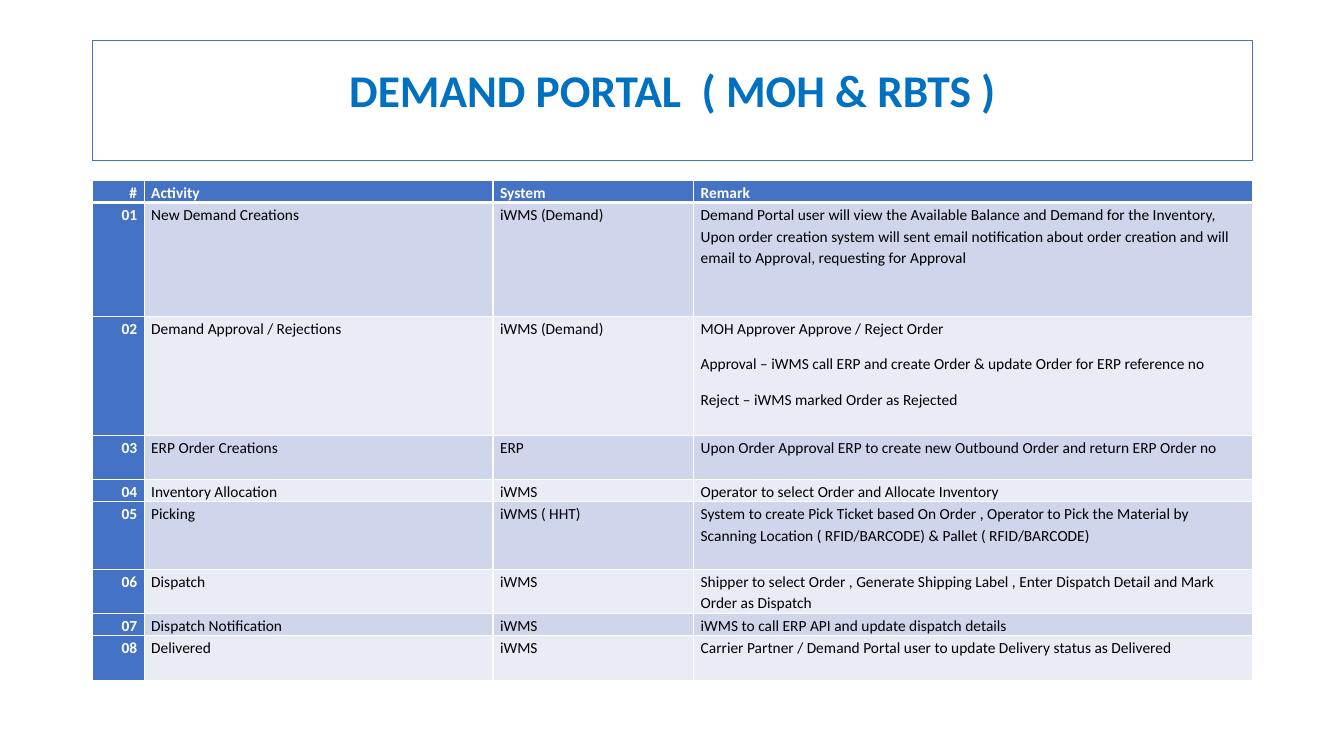
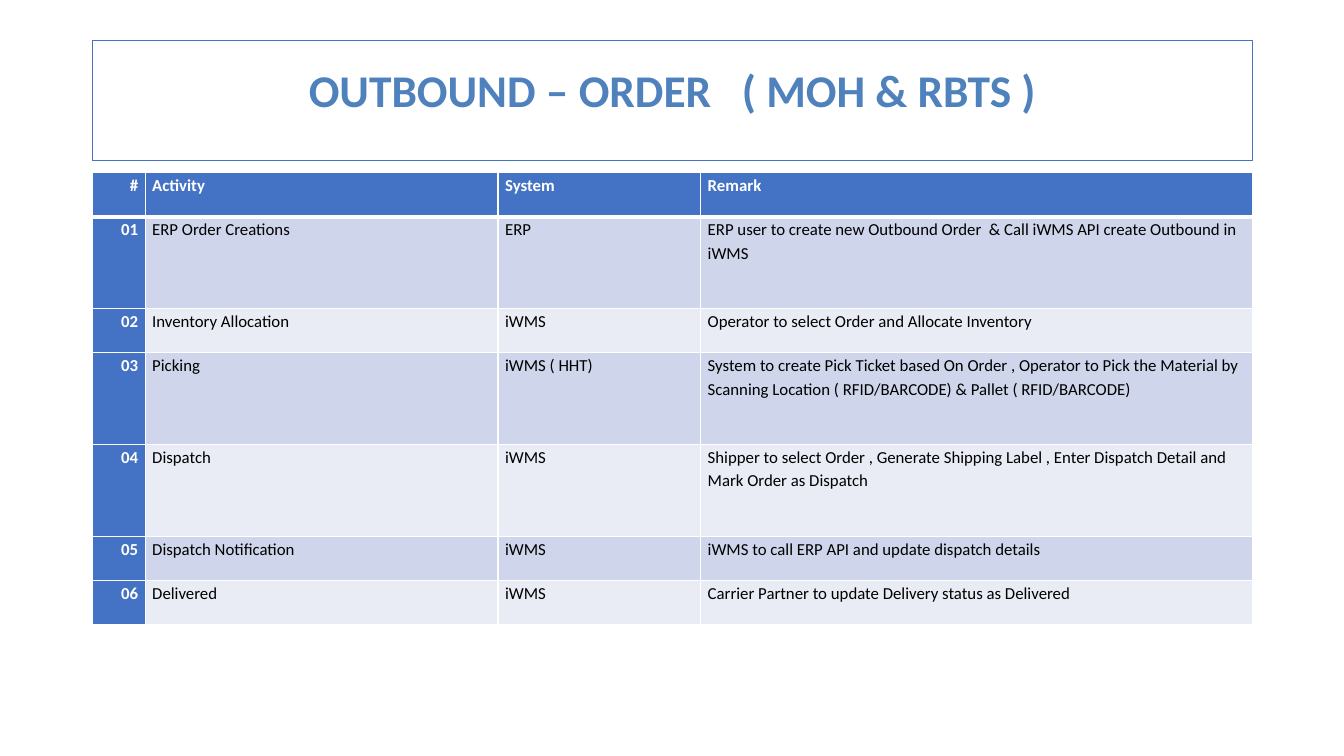
import pptx
import pptx.dml.color
import pptx.enum.text
import pptx.oxml
import pptx.oxml.ns
import pptx.util

Inches = pptx.util.Inches
Pt = pptx.util.Pt
ALIGN = pptx.enum.text.PP_ALIGN
ANCHOR = pptx.enum.text.MSO_ANCHOR

WHITE, BLACK, BLUE = "FFFFFF", "000000", "4472C4"
BANDS = ("CFD5EA", "E9EBF5")
LEFT, WIDTH = 0.92, 11.5
TITLE_BOX = (LEFT, 0.4, WIDTH, 1.19)
HEADINGS = ("#", "Activity", "System", "Remark")

ALLOCATION = ("Inventory Allocation", "iWMS", "Operator to select Order and Allocate Inventory")
PICKING = (
    "Picking",
    "iWMS ( HHT)",
    "System to create Pick Ticket based On Order , Operator to Pick the Material by "
    "Scanning Location ( RFID/BARCODE) & Pallet ( RFID/BARCODE)",
)
DISPATCH = (
    "Dispatch",
    "iWMS",
    "Shipper to select Order , Generate Shipping Label , Enter Dispatch Detail and Mark "
    "Order as Dispatch",
)
NOTIFICATION = ("Dispatch Notification", "iWMS", "iWMS to call ERP API and update dispatch details")

SLIDES = [
    {
        "title": "DEMAND PORTAL  ( MOH & RBTS )",
        "title_color": "0070C0",
        "top": 1.79,
        "size": 11,
        "columns": (0.51, 3.46, 1.99, 5.54),
        "heights": (0.22, 1.13, 1.18, 0.44, 0.22, 0.67, 0.44, 0.22, 0.44),
        "activities": [
            (
                "New Demand Creations",
                "iWMS (Demand)",
                "Demand Portal user will view the Available Balance and Demand for the Inventory, "
                "Upon order creation system will sent email notification about order creation and "
                "will email to Approval, requesting for Approval",
            ),
            (
                "Demand Approval / Rejections",
                "iWMS (Demand)",
                "MOH Approver Approve / Reject Order\n"
                "Approval – iWMS call ERP and create Order & update Order for ERP reference no\n"
                "Reject – iWMS marked Order as Rejected",
            ),
            (
                "ERP Order Creations",
                "ERP",
                "Upon Order Approval ERP to create new Outbound Order and return ERP Order no",
            ),
            ALLOCATION,
            PICKING,
            DISPATCH,
            NOTIFICATION,
            (
                "Delivered",
                "iWMS",
                "Carrier Partner / Demand Portal user to update Delivery status as Delivered",
            ),
        ],
    },
    {
        "title": "OUTBOUND – ORDER   ( MOH & RBTS )",
        "title_color": "4F81BD",
        "top": 1.71,
        "size": 12,
        "columns": (0.52, 3.5, 2.01, 5.47),
        "heights": (0.44, 0.91, 0.44, 0.91, 0.91, 0.44, 0.44),
        "activities": [
            (
                "ERP Order Creations",
                "ERP",
                "ERP user to create new Outbound Order  & Call iWMS API create Outbound in iWMS",
            ),
            ALLOCATION,
            PICKING,
            DISPATCH,
            NOTIFICATION,
            ("Delivered", "iWMS", "Carrier Partner to update Delivery status as Delivered"),
        ],
    },
]


def rgb(color):
    """Turn a hex string into a colour."""
    return pptx.dml.color.RGBColor.from_string(color)


def apply_format(target, values):
    """Set each attribute in values on the target."""
    for name, value in values.items():
        setattr(target, name, value)


def paint(fill, color):
    """Give a fill one solid colour."""
    fill.solid()
    fill.fore_color.rgb = rgb(color)


def format_text(text_frame, size, color, bold, paragraph_format):
    """Format every paragraph and run of a text frame."""
    for paragraph in text_frame.paragraphs:
        apply_format(paragraph, paragraph_format)
        for run in paragraph.runs:
            apply_format(run.font, {"name": "Calibri", "size": Pt(size), "bold": bold})
            run.font.color.rgb = rgb(color)


def add_title(slide, box, text, color):
    """Place the framed title in the given box."""
    title = slide.shapes.title
    names = ("left", "top", "width", "height")
    apply_format(title, dict(zip(names, map(Inches, box))))
    paint(title.fill, WHITE)
    title.line.color.rgb = rgb(BLUE)
    title.line.width = Pt(1)
    text_frame = title.text_frame
    text_frame.text = text
    apply_format(text_frame, {
        "word_wrap": True,
        "auto_size": pptx.enum.text.MSO_AUTO_SIZE.NONE,
        "vertical_anchor": ANCHOR.MIDDLE,
        "margin_bottom": Inches(0.2),
    })
    format_text(text_frame, 32.4, color, True, {"alignment": ALIGN.CENTER, "line_spacing": 0.9})


def add_borders(cell, widths):
    """Draw white cell borders with the given widths by side."""
    properties = cell._tc.get_or_add_tcPr()
    for side in "LRTB":
        properties.append(pptx.oxml.parse_xml(
            f'<a:ln{side} {pptx.oxml.ns.nsdecls("a")} w="{Pt(widths.get(side, 1))}">'
            f'<a:solidFill><a:srgbClr val="{WHITE}"/></a:solidFill></a:ln{side}>'
        ))


def fill_cell(cell, text, size, row, column):
    """Write and format one cell according to its row and column."""
    heading = row == 0 or column == 0
    cell.text = text
    apply_format(cell, {
        "margin_left": Inches(0.07),
        "margin_right": Inches(0.07),
        "margin_top": 0,
        "margin_bottom": 0,
        "vertical_anchor": ANCHOR.TOP,
    })
    add_borders(cell, {0: {"B": 3}, 1: {"T": 3}}.get(row, {}))
    paint(cell.fill, BLUE if heading else BANDS[(row - 1) % 2])
    format_text(cell.text_frame, size, WHITE if heading else BLACK, heading, {
        "alignment": ALIGN.LEFT if column else ALIGN.RIGHT,
        "line_spacing": 1.15,
        "space_after": Pt(10),
    })


def add_activity_table(slide, left, top, columns, heights, size, activities):
    """Place the numbered activity table at the given corner."""
    rows = [HEADINGS]
    rows += [(f"{number:02d}", *activity) for number, activity in enumerate(activities, 1)]
    table = slide.shapes.add_table(
        len(rows), len(columns), Inches(left), Inches(top),
        Inches(sum(columns)), Inches(sum(heights)),
    ).table
    for column, width in zip(table.columns, columns):
        column.width = Inches(width)
    for row, height in zip(table.rows, heights):
        row.height = Inches(height)
    for row, texts in enumerate(rows):
        for column, text in enumerate(texts):
            fill_cell(table.cell(row, column), text, size, row, column)


def add_process_slide(presentation, content):
    """Add one slide with a framed title above an activity table."""
    slide = presentation.slides.add_slide(presentation.slide_layouts[5])
    add_title(slide, TITLE_BOX, content["title"], content["title_color"])
    add_activity_table(
        slide, LEFT, content["top"], content["columns"], content["heights"],
        content["size"], content["activities"],
    )


def main():
    """Build and save the presentation."""
    presentation = pptx.Presentation()
    presentation.slide_width = Inches(13.33)
    presentation.slide_height = Inches(7.5)
    for content in SLIDES:
        add_process_slide(presentation, content)
    presentation.save("out.pptx")


if __name__ == "__main__":
    main()
